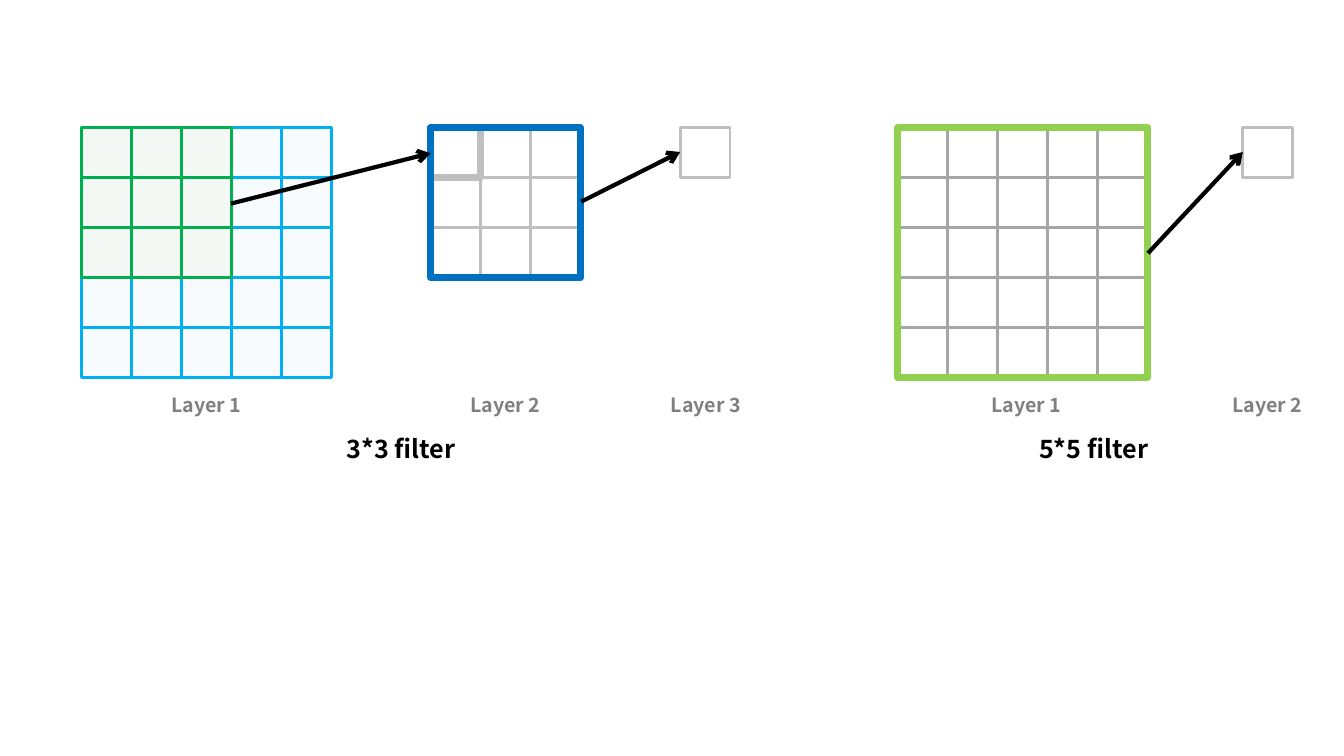
from pptx import Presentation
from pptx import util as u
from pptx.dml import color
from pptx.enum import shapes, text
from pptx.oxml import ns
from lxml import etree

COLOURS = {
    "black": "000000", "label": "808080", "grey": "A6A6A6", "light_grey": "BFBFBF",
    "lime": "92D050", "blue": "0070C0", "sky": "00B0F0", "green": "00B050",
    "sky_fill": "DEEBF7", "green_fill": "E2F0D9",
}
FONT = "Noto Sans CJK SC"
CELL = 1.26  # side of one cell, in cm
TOP = 3.22   # top of every grid


def rgb(name):
    return color.RGBColor.from_string(COLOURS[name])


def add_xml(parent, tag, **attributes):
    return etree.SubElement(parent, ns.qn(tag), **attributes)


def add_square(container, left, top, side, line, width=2, fill=None):
    """Outlined square, optionally with a 20 % opaque fill."""
    square = container.add_shape(shapes.MSO_SHAPE.RECTANGLE,
                                 u.Cm(left), u.Cm(top), u.Cm(side), u.Cm(side))
    square.shadow.inherit = False
    square.line.color.rgb = rgb(line)
    square.line.width = u.Pt(width)
    if fill:
        square.fill.solid()
        square.fill.fore_color.rgb = rgb(fill)
        fill_colour = square.fill._xPr.find(".//" + ns.qn("a:srgbClr"))
        add_xml(fill_colour, "a:alpha", val="20000")
    else:
        square.fill.background()
    return square


def add_grid(container, left, count, line, fill=None):
    """Square grid of cells, returned row by row."""
    return [add_square(container, left + column * CELL, TOP + row * CELL, CELL, line, fill=fill)
            for row in range(count) for column in range(count)]


def add_arrow(slide, start, end):
    points = [u.Cm(value) for value in (*start, *end)]
    arrow = slide.shapes.add_connector(shapes.MSO_CONNECTOR.STRAIGHT, *points)
    arrow.line.color.rgb = rgb("black")
    arrow.line.width = u.Pt(3)
    add_xml(arrow.line._get_or_add_ln(), "a:tailEnd", type="arrow")
    add_xml(arrow._element.spPr, "a:effectLst")


def add_text(slide, words, centre, top, width, height, size, colour, wrap):
    box = slide.shapes.add_textbox(u.Cm(centre - width / 2), u.Cm(top), u.Cm(width), u.Cm(height))
    frame = box.text_frame
    frame.word_wrap = wrap
    frame.auto_size = text.MSO_AUTO_SIZE.SHAPE_TO_FIT_TEXT
    frame.text = words
    paragraph = frame.paragraphs[0]
    paragraph.alignment = text.PP_ALIGN.CENTER
    font = paragraph.runs[0].font
    font.name, font.size, font.bold = FONT, u.Pt(size), True
    font.color.rgb = rgb(colour)
    # East Asian typeface as well
    add_xml(paragraph.runs[0]._r.get_or_add_rPr(), "a:ea", typeface=FONT)


def main():
    presentation = Presentation()
    presentation.slide_width, presentation.slide_height = u.Cm(33.87), u.Cm(19.05)
    slide = presentation.slides.add_slide(presentation.slide_layouts[6])

    # 5*5 filter: one step from layer 1 to layer 2
    add_grid(slide.shapes, 22.63, 5, "grey")
    add_square(slide.shapes, 22.63, TOP, 5 * CELL, "lime", 5)
    add_square(slide.shapes, 31.32, TOP, CELL, "light_grey")
    add_arrow(slide, (28.93, 6.38), (31.32, 3.83))

    # 3*3 filter: layers 2 and 3, with the first result cell emphasised
    layer_2 = add_grid(slide.shapes, 10.85, 3, "light_grey")
    layer_2[0].line.width = u.Pt(5)
    add_square(slide.shapes, 10.85, TOP, 3 * CELL, "blue", 5)
    add_square(slide.shapes, 17.14, TOP, CELL, "light_grey")
    add_arrow(slide, (14.65, 5.08), (17.14, 3.83))

    # 3*3 filter: layer 1 with the filter window on top
    for count, line, fill in ((5, "sky", "sky_fill"), (3, "green", "green_fill")):
        group = slide.shapes.add_group_shape()
        add_grid(group.shapes, 2.05, count, line, fill)
    add_arrow(slide, (5.82, 5.13), (10.85, 3.86))

    # Captions
    for words, centre in (("3*3 filter", 10.11), ("5*5 filter", 27.56)):
        add_text(slide, words, centre, 10.8, 3.35, 1.02, 18, "black", False)
    for number, centre in ((1, 5.2), (2, 12.74), (3, 17.79), (1, 25.87), (2, 31.94)):
        add_text(slide, f"Layer {number}", centre, 9.78, 2.57, 0.86, 14, "label", True)

    presentation.save("out.pptx")


main()
